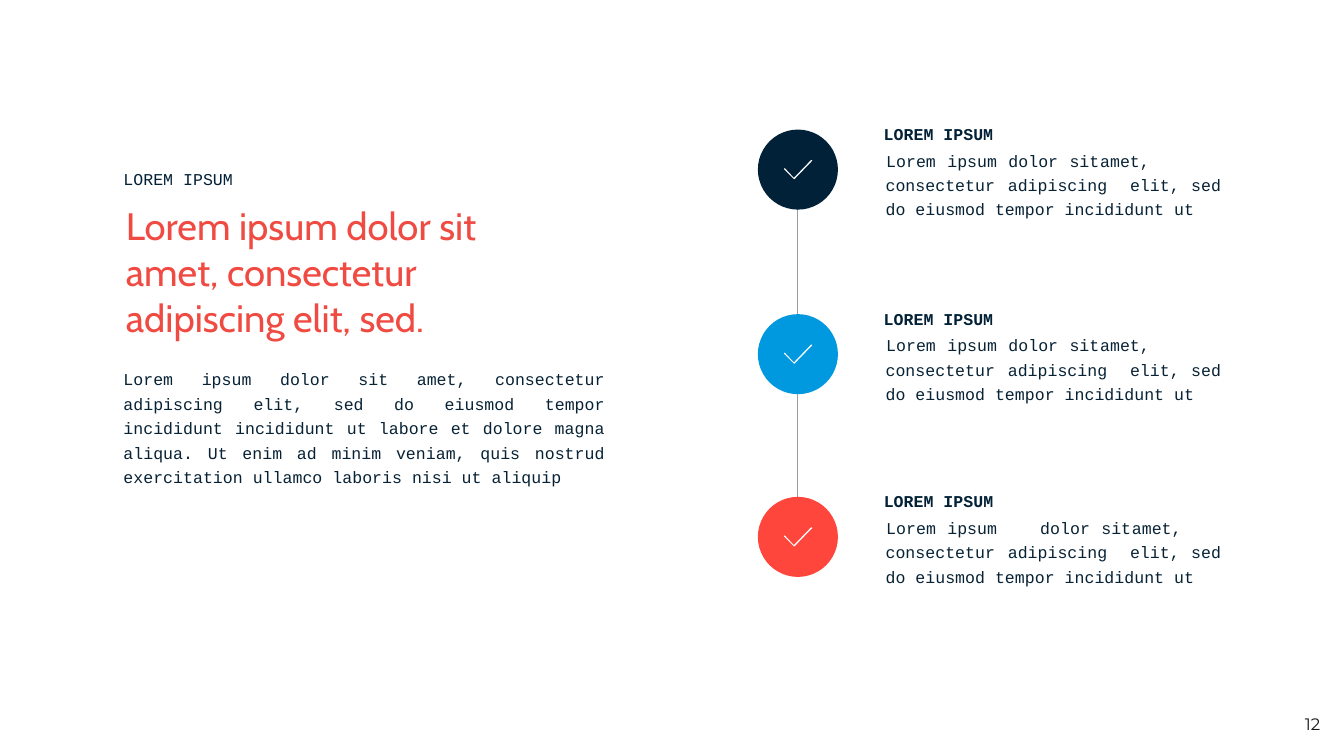
from dataclasses import dataclass

from lxml.etree import SubElement
from pptx import Presentation
from pptx.dml.color import RGBColor
from pptx.enum.shapes import MSO_CONNECTOR, MSO_SHAPE
from pptx.enum.text import MSO_ANCHOR, MSO_AUTO_SIZE, PP_ALIGN
from pptx.oxml.ns import qn
from pptx.util import Pt

EMU_PER_PX = 9144  # 100 px to the inch
COLORS = {
    "label": "032136", "headline": "F04B42", "body": "072235", "number": "181818",
    "line": "9C9C9C", "white": "FFFFFF",
    "navy": "002138", "blue": "0099DF", "red": "FF463C",
}
CODE_FONT, HEADLINE_FONT, NUMBER_FONT = "Courier New", "Cabin", "Montserrat"
TICK = [(46, 0), (44, 0), (16, 29), (1, 13), (0, 14), (0, 15), (16, 31), (17, 31), (46, 1)]


def px(length):
    return length * EMU_PER_PX


def color(name):
    return RGBColor.from_string(COLORS[name])


@dataclass
class Line:
    """One paragraph and its style."""
    text: str
    color: str = "body"
    font: str = CODE_FONT
    size: float = 19.5
    bold: bool = False
    indent: int = 1
    spacing: float = 1.0
    before: float = 0
    align: PP_ALIGN = PP_ALIGN.LEFT
    tabs: tuple = ()


class SlideBuilder:
    def __init__(self, presentation):
        self.slide = presentation.slides.add_slide(presentation.slide_layouts[5])
        self.shapes = self.slide.shapes

    def fill_text(self, shape, lines, top_inset):
        frame = shape.text_frame
        frame.word_wrap = True
        frame.auto_size = MSO_AUTO_SIZE.SHAPE_TO_FIT_TEXT
        frame.vertical_anchor = MSO_ANCHOR.TOP
        frame.margin_left = frame.margin_right = frame.margin_bottom = 0
        frame.margin_top = px(top_inset)
        for index, line in enumerate(lines):
            paragraph = frame.add_paragraph() if index else frame.paragraphs[0]
            paragraph.add_run().text = line.text
            properties = paragraph._p.get_or_add_pPr()
            properties.set("marL", str(px(line.indent)))
            properties.set("indent", "0")
            if line.tabs:
                tab_list = SubElement(properties, qn("a:tabLst"))
                for position in line.tabs:
                    SubElement(tab_list, qn("a:tab"), pos=str(px(position)), algn="l")
            paragraph.alignment = line.align
            paragraph.line_spacing = line.spacing
            paragraph.space_before = Pt(line.before)
            font = paragraph.font
            font.name, font.size, font.bold = line.font, Pt(line.size), line.bold
            font.color.rgb = color(line.color)

    def title(self, left, top, width, height, lines, top_inset):
        title = self.shapes.title
        title.left, title.top, title.width, title.height = map(px, (left, top, width, height))
        self.fill_text(title, lines, top_inset)

    def text(self, left, top, width, height, lines, top_inset=1):
        box = self.shapes.add_textbox(*map(px, (left, top, width, height)))
        self.fill_text(box, lines, top_inset)

    def paint(self, shape, fill):
        shape.shadow.inherit = False
        shape.fill.solid()
        shape.fill.fore_color.rgb = color(fill)
        shape.line.fill.background()

    def circle(self, left, top, diameter, fill):
        box = map(px, (left, top, diameter, diameter))
        self.paint(self.shapes.add_shape(MSO_SHAPE.OVAL, *box), fill)

    def tick(self, left, top):
        points = [(left + x, top + y) for x, y in TICK]
        outline = self.shapes.build_freeform(*points[0], scale=EMU_PER_PX)
        outline.add_line_segments(points[1:], close=True)
        self.paint(outline.convert_to_shape(), "white")

    def vertical_line(self, x, top, bottom):
        line = self.shapes.add_connector(
            MSO_CONNECTOR.STRAIGHT, px(x), px(top), px(x), px(bottom))
        line.line.color.rgb = color("line")
        line.line.width = Pt(0.82)
        SubElement(line._element.spPr, qn("a:effectLst"))


def main():
    presentation = Presentation()
    presentation.slide_width, presentation.slide_height = px(2199), px(1237)
    builder = SlideBuilder(presentation)

    # Headline and introduction
    builder.title(201, 265, 604, 293, [
        Line("LOREM IPSUM", "label"),
        Line("Lorem ipsum dolor sit amet, consectetur adipiscing elit, sed.",
             "headline", HEADLINE_FONT, 45, indent=5, spacing=1.01, before=15.1),
    ], top_inset=11)
    builder.text(201, 596, 789, 203, [
        Line("Lorem ipsum dolor sit amet, consectetur adipiscing elit, sed do eiusmod "
             "tempor incididunt incididunt ut labore et dolore magna aliqua. Ut enim ad "
             "minim veniam, quis nostrud exercitation ullamco laboris nisi ut aliquip",
             spacing=1.23, align=PP_ALIGN.JUSTIFY),
    ])

    # Timeline steps
    builder.vertical_line(1305, 236, 899)
    steps = [
        (212, "navy", 560, "Lorem\tipsum\tdolor\tsit\tamet,"),
        (514, "blue", 560, "Lorem\tipsum\tdolor\tsit\tamet,"),
        (813, "red", 215, "Lorem\tipsum"),
    ]
    for top, fill, width, opening in steps:
        builder.circle(1240, top, 131, fill)
        builder.tick(1283, top + 50)
        builder.text(1445, top - 21, width, 90, [
            Line("LOREM IPSUM", "label", bold=True),
            Line(opening, indent=5, before=8, tabs=(100, 200, 300, 401)),
        ], top_inset=12)
        builder.text(1448, top + 66, 557, 83, [
            Line("consectetur\tadipiscing\telit,\tsed do eiusmod tempor incididunt ut",
                 spacing=1.23, tabs=(200, 400, 500)),
        ])

    # Rest of the last step's opening line
    builder.text(1701, 846, 305, 36, [Line("dolor\tsit\tamet,", tabs=(100, 200))], top_inset=2)

    # Page number
    builder.text(2131, 1167, 38, 36, [Line("12", "number", NUMBER_FONT, indent=4)])

    presentation.save("out.pptx")


if __name__ == "__main__":
    main()
